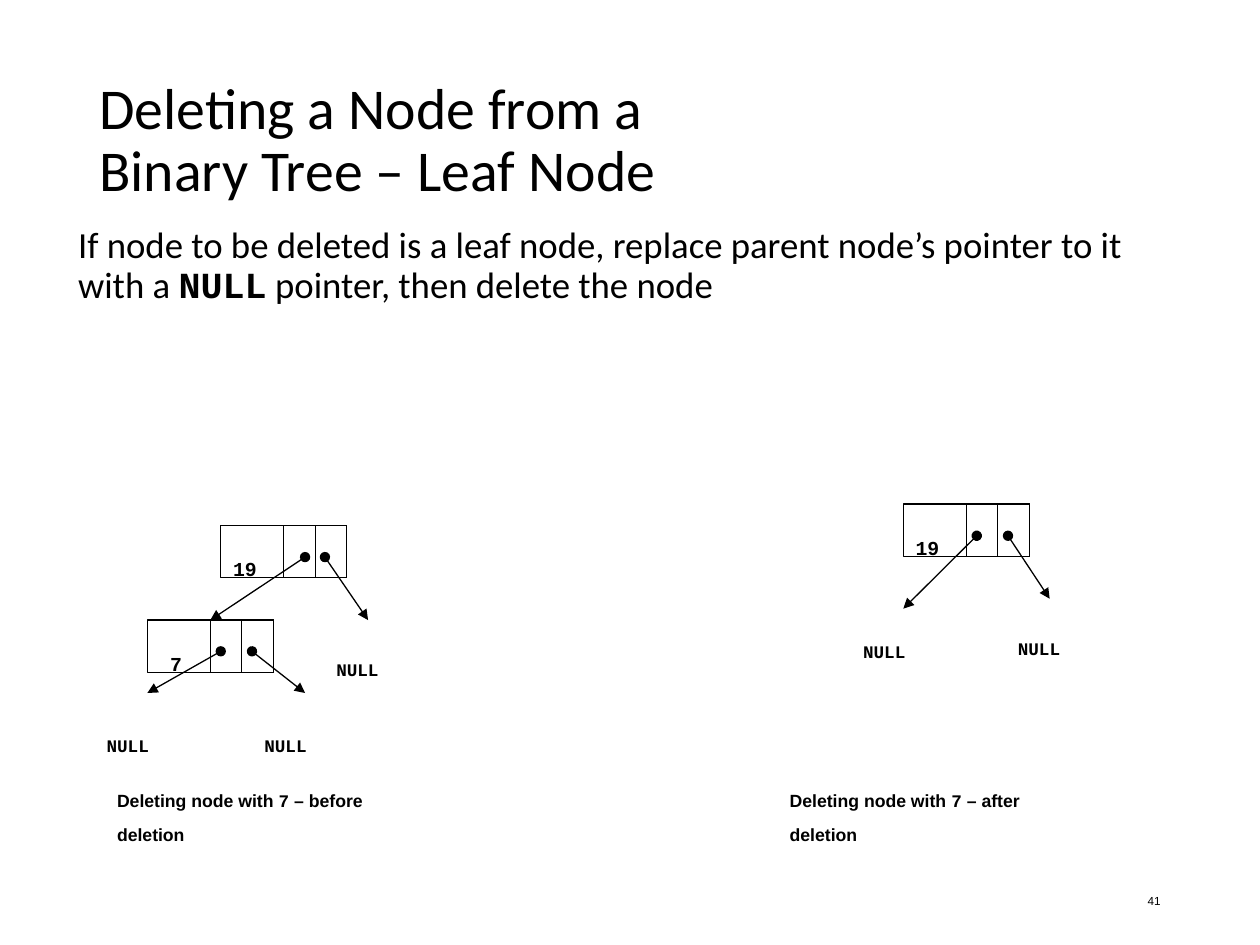
from dataclasses import dataclass

from lxml.etree import SubElement
from pptx import Presentation
from pptx.dml.color import RGBColor
from pptx.enum.shapes import MSO_CONNECTOR, MSO_SHAPE
from pptx.enum.text import MSO_ANCHOR, MSO_AUTO_SIZE, PP_ALIGN
from pptx.oxml.ns import qn
from pptx.util import Cm, Pt


@dataclass(frozen=True)
class Theme:
    ink: RGBColor = RGBColor(0, 0, 0)
    heading: str = "Calibri"
    label: str = "Arial"
    code: str = "Courier New"
    title_size: float = 33
    body_size: float = 21
    value_size: float = 11.25
    label_size: float = 10.1
    page_size: float = 6.75
    line: float = 0.75


THEME = Theme()

# Content: text pieces are (wording, font, bold); lengths are in cm
TITLE = "Deleting a Node from a \vBinary Tree – Leaf Node"
BODY = [
    ("If node to be deleted is a leaf node, replace parent node’s pointer to it with a ",
     THEME.heading, False),
    ("NULL", THEME.code, True),
    (" pointer, then delete the node", THEME.heading, False),
]
PAGE_NUMBER = "41"
NODE_WIDTH, NODE_HEIGHT = 2.54, 1.06
TREES = [
    {
        "stage": "before",
        "caption_left": 2.11,
        # value, left, top, indent of the value
        "nodes": [("19", 4.45, 10.59, 0), ("7", 2.97, 12.5, 0.21)],
        "pointers": [
            ((6.15, 11.23), (4.24, 12.5)), ((6.55, 11.23), (7.42, 12.5)),
            ((4.45, 13.13), (2.97, 13.97)), ((5.08, 13.13), (6.15, 13.97)),
        ],
        "nulls": [(6.53, 12.65), (1.9, 14.17), (5.08, 14.17)],
    },
    {
        "stage": "after",
        "caption_left": 15.67,
        "nodes": [("19", 18.21, 10.16, 0)],
        "pointers": [((19.69, 10.8), (18.21, 12.27)), ((20.32, 10.8), (21.16, 12.07))],
        "nulls": [(20.27, 12.22), (17.15, 12.27)],
    },
]


def place(shape, left, top, width, height):
    shape.left, shape.top, shape.width, shape.height = map(Cm, (left, top, width, height))


def write(paragraph, pieces, size):
    for wording, font_name, bold in pieces:
        run = paragraph.add_run()
        run.text = wording
        run.font.name = font_name
        run.font.size = Pt(size)
        run.font.bold = bold
        run.font.color.rgb = THEME.ink


def add_label(slide, box, pieces, size, top_inset=0.13):
    label = slide.shapes.add_textbox(*map(Cm, box))
    frame = label.text_frame
    frame.word_wrap = True
    frame.margin_top = Cm(top_inset)
    write(frame.paragraphs[0], pieces, size)
    return frame


def add_cell(slide, *box):
    cell = slide.shapes.add_shape(MSO_SHAPE.RECTANGLE, *map(Cm, box))
    cell.shadow.inherit = False
    cell.fill.background()
    cell.line.color.rgb = THEME.ink
    cell.line.width = Pt(THEME.line)


def add_node(slide, value, left, top, indent):
    cell_width = NODE_WIDTH / 4
    add_cell(slide, left, top, NODE_WIDTH, NODE_HEIGHT)
    for column in (3, 2):
        add_cell(slide, left + column * cell_width, top, cell_width, NODE_HEIGHT)
    add_label(slide, (left + indent, top, 1.35, 1.09),
              [(value, THEME.code, True)], THEME.value_size, 0.64)


def add_pointer(slide, start, end):
    pointer = slide.shapes.add_connector(MSO_CONNECTOR.STRAIGHT, *map(Cm, start + end))
    pointer.line.color.rgb = THEME.ink
    pointer.line.width = Pt(THEME.line)
    outline = pointer.line._get_or_add_ln()
    SubElement(outline, qn("a:headEnd"), type="oval")
    SubElement(outline, qn("a:tailEnd"), type="triangle")
    SubElement(pointer._element.spPr, qn("a:effectLst"))


def main():
    deck = Presentation()
    deck.slide_width, deck.slide_height = Cm(25.4), Cm(19.05)
    slide = deck.slides.add_slide(deck.slide_layouts[1])

    # Title
    title = slide.shapes.title
    place(title, 1.75, 1.02, 21.9, 3.68)
    title.text_frame.text = TITLE
    title.text_frame.auto_size = MSO_AUTO_SIZE.NONE
    title.text_frame.vertical_anchor = MSO_ANCHOR.MIDDLE
    heading = title.text_frame.paragraphs[0]
    heading.alignment = PP_ALIGN.LEFT
    heading.line_spacing = 0.9
    for run in heading.runs:
        run.font.name = THEME.heading
        run.font.size = Pt(THEME.title_size)
        run.font.color.rgb = THEME.ink

    # Body text
    body = slide.placeholders[1]
    place(body, 0.84, 4.45, 23.04, 4.93)
    body.text_frame.auto_size = MSO_AUTO_SIZE.NONE
    rule = body.text_frame.paragraphs[0]
    properties = rule._p.get_or_add_pPr()
    properties.set("marL", str(Cm(0.48)))
    properties.set("indent", "0")
    SubElement(properties, qn("a:buNone"))
    rule.line_spacing = 0.9
    rule.space_before = Pt(0)
    write(rule, BODY, THEME.body_size)

    # Page number
    page = add_label(slide, (17.93, 17.65, 5.72, 1.02),
                     [(PAGE_NUMBER, THEME.label, False)], THEME.page_size)
    page.vertical_anchor = MSO_ANCHOR.MIDDLE
    page.paragraphs[0].alignment = PP_ALIGN.RIGHT

    # Trees with their captions
    for tree in TREES:
        for node in tree["nodes"]:
            add_node(slide, *node)
        for start, end in tree["pointers"]:
            add_pointer(slide, start, end)
        for left, top in tree["nulls"]:
            add_label(slide, (left, top, 2.03, 1.02),
                      [("NULL", THEME.code, True)], THEME.label_size, 0.64)
        caption = add_label(
            slide, (tree["caption_left"], 15.44, 6.6, 1.47),
            [("Deleting node with ", THEME.label, True), ("7", THEME.code, True),
             (f" – {tree['stage']} deletion", THEME.label, True)],
            THEME.label_size, 0.23)
        caption.paragraphs[0].line_spacing = Pt(19.4)

    deck.save("out.pptx")


if __name__ == "__main__":
    main()
